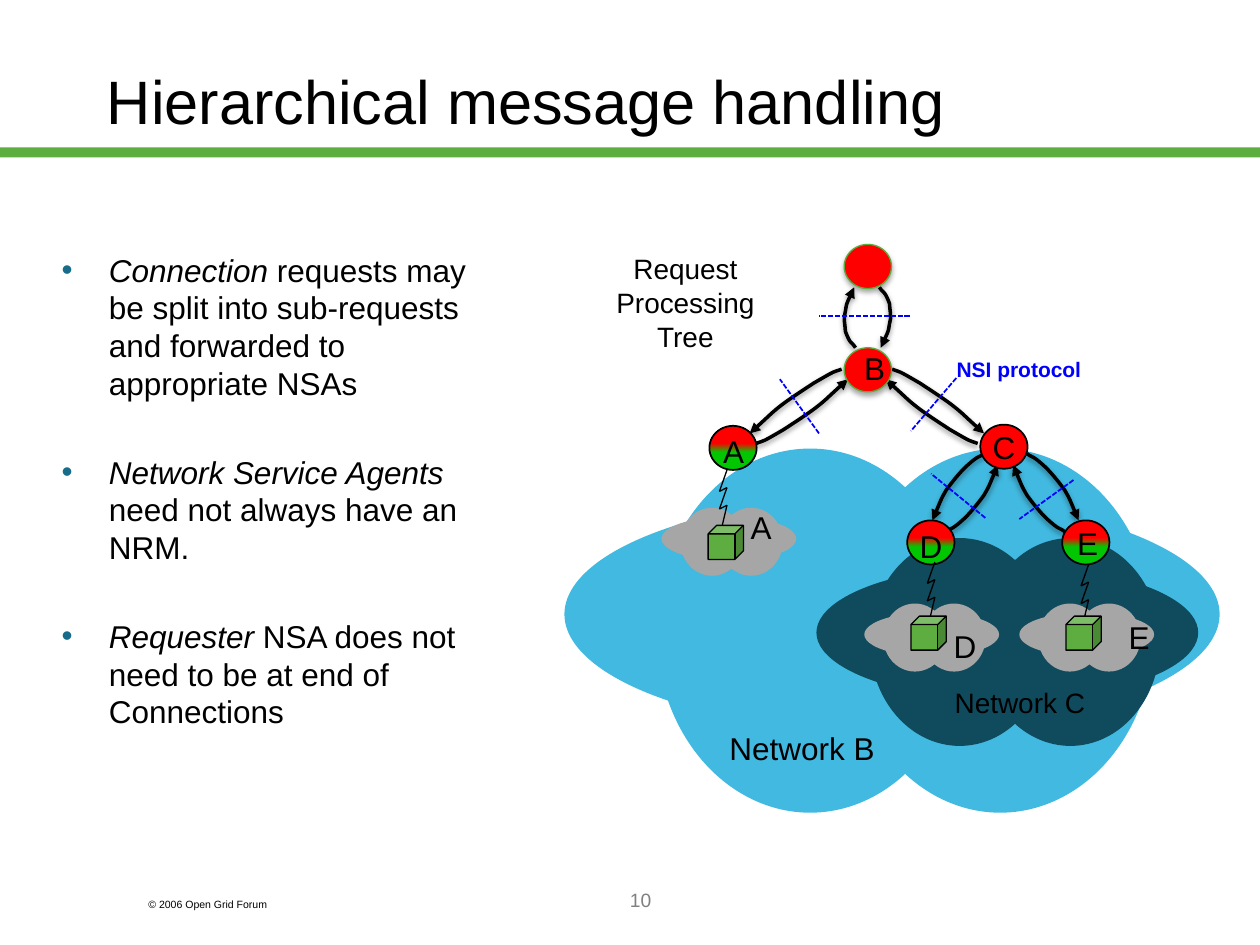
import pptx
import pptx.util
import pptx.dml.color
import pptx.enum.dml
import pptx.enum.shapes
import pptx.enum.text
import pptx.oxml
import pptx.oxml.ns
import lxml.etree

COLS, ROWS = 100, 75
CELL = pptx.util.Inches(0.1)
HUE = {
    "black": "000000", "gray": "808080", "green": "5DAD41", "rim": "5AAC3D",
    "lime": "03C603", "red": "FF0000", "blue": "0000FF", "sky": "42B9E0",
    "deep": "0F4A5D", "mist": "A6A6A6", "teal": "176D89",
}
FORM = pptx.enum.shapes.MSO_SHAPE
ALIGN = pptx.enum.text.PP_ALIGN
QN = pptx.oxml.ns.qn


def tint(name):
    return pptx.dml.color.RGBColor.from_string(HUE[name])


def spot(box, x, y):
    return round((box[0] + x) * CELL), round((box[1] + y) * CELL)


def child(node, tag, **attrs):
    return lxml.etree.SubElement(node, QN(tag), attrs)


def shade(shape, alpha, dist):
    glow = child(shape._element.spPr.find(QN("a:effectLst")), "a:outerShdw",
                 blurRad=str(pptx.util.Pt(3.1)), dist=str(pptx.util.Pt(dist)),
                 dir="5400000", rotWithShape="0")
    child(child(glow, "a:srgbClr", val=HUE["black"]), "a:alpha", val=str(alpha * 1000))


def stroke(line, hue, width):
    line.color.rgb = tint(hue)
    line.width = pptx.util.Pt(width)


def solid(slide, box, kind, x, y, w, h, fill, edge=None, width=0.75):
    shape = slide.shapes.add_shape(kind, *spot(box, x, y), *spot((0, 0), w, h))
    shape.shadow.inherit = False
    shape.fill.solid()
    shape.fill.fore_color.rgb = tint(fill)
    if edge:
        stroke(shape.line, edge, width)
    else:
        shape.line.fill.background()
    return shape


def style(para, size, hue, bold=None):
    for run in para.runs:
        run.font.name = "Arial"
        run.font.size = pptx.util.Pt(size)
        run.font.color.rgb = tint(hue)
        run.font.bold = bold


def frame(slide, box, x, y, w, h):
    area = slide.shapes.add_textbox(*spot(box, x, y), *spot((0, 0), w, h)).text_frame
    area.word_wrap = True
    return area


def label(slide, box, x, y, w, h, text, size=18, hue="black", align=ALIGN.RIGHT, bold=None):
    area = frame(slide, box, x, y, w, h)
    area.text = text
    for para in area.paragraphs:
        para.alignment = align
        style(para, size, hue, bold)
    return area


def rule(slide, box, start, end, hue, width):
    line = slide.shapes.add_connector(pptx.enum.shapes.MSO_CONNECTOR.STRAIGHT,
                                      *spot(box, *start), *spot(box, *end))
    stroke(line.line, hue, width)
    child(line._element.spPr, "a:effectLst")
    return line


def cloud(slide, box, x, y, w, h, hue):
    for left, top, wide, tall in ((0, 0.13, 1, 0.65), (0.14, 0, 0.47, 1), (0.43, 0, 0.47, 1)):
        solid(slide, box, FORM.OVAL, x + left * w, y + top * h, wide * w, tall * h, hue)


def arrow(slide, box, points):
    first, *rest = [spot(box, *point) for point in points]
    draft = slide.shapes.build_freeform(*first)
    draft.add_line_segments(rest, close=False)
    shape = draft.convert_to_shape()
    shape.shadow.inherit = False
    shape.fill.background()
    stroke(shape.line, "black", 2)
    child(shape.line._ln, "a:tailEnd", type="triangle")
    shade(shape, 38, 1.6)
    track = next(shape._element.iter(QN("a:path")))
    steps = track.findall(QN("a:lnTo"))
    for i in range(0, len(steps), 3):
        bend = child(track, "a:cubicBezTo")
        for step in steps[i:i + 3]:
            bend.append(step[0])
            track.remove(step)


def turn(points, sum_x, sum_y):
    return [(sum_x - x, sum_y - y) for x, y in points]


def flip(points, sum_x):
    return [(sum_x - x, y) for x, y in points]


def loops(slide, box):
    top = [(25.8, 3.8), (26.1, 4.3), (26.2, 4), (26.6, 5.1), (26.6, 5.5),
           (26.8, 6.2), (26.6, 6.7), (26.5, 7.3), (26.6, 7.1), (25.9, 8.6)]
    mid = [(26.8, 10.3), (27.6, 10.6), (27.1, 10.3), (29, 11.4), (29.6, 11.8),
           (30.7, 12.5), (31.5, 13.1), (32.4, 13.8), (32.1, 13.6), (34.1, 15.4)]
    low = [(37.5, 17), (38, 17.4), (37.8, 17), (39, 18.1), (39.4, 18.5),
           (40, 19.2), (40.5, 19.9), (40.9, 20.6), (40.8, 20.4), (41.6, 22.3)]
    for curve, sum_x, sum_y, fold in ((top, 49.7, 12.4, None), (mid, 60.4, 26.5, 49.6),
                                      (low, 78, 40.2, 71.6)):
        for path in (curve, turn(curve, sum_x, sum_y)):
            arrow(slide, box, path)
            if fold:
                arrow(slide, box, flip(path, fold))
    for x1, y1, x2, y2 in ((28.2, 6.1, 21, 6.1), (21, 15.4, 17.9, 11.1),
                           (34.2, 22.1, 29.9, 18.6), (41.2, 19.1, 36.9, 22.2),
                           (31.9, 11, 28.3, 15.2)):
        cut = rule(slide, box, (x1, y1), (x2, y2), "blue", 1)
        cut.line.dash_style = pptx.enum.dml.MSO_LINE.SQUARE_DOT


def agent(slide, box, x, y, kind):
    edge, width = ("rim", 0.75) if kind == "root" else ("black", 1)
    node = solid(slide, box, FORM.OVAL, x, y, 3.75, 3.5, "red", edge, width)
    if kind == "root":
        shade(node, 35, 1.8)
    if kind == "leaf":
        node.fill.gradient()
        node.fill.gradient_angle = 90
        for stop, place, hue in zip(node.fill.gradient_stops, (0.4, 0.6), ("lime", "red")):
            stop.position = place
            stop.color.rgb = tint(hue)


def zigzag(slide, box, x, y):
    bends = ((0, 0), (-0.6, 1.7), (0, 1.4), (-0.6, 3.1), (0, 2.8), (-0.4, 4.5))
    dots = [(x + dx, y + dy) for dx, dy in bends]
    for start, end in zip(dots, dots[1:]):
        rule(slide, box, start, end, "black", 0.75)


def tree(slide, box):
    cloud(slide, box, 0.8, 16.6, 52, 28.9, "sky")
    cloud(slide, box, 20.8, 23.7, 30.3, 16.5, "deep")
    for x, y in ((8.5, 21.3), (24.6, 28.9), (36.9, 28.9)):
        cloud(slide, box, x, y, 10.7, 5.4, "mist")
    loops(slide, box)
    for x, y, kind in ((23, 0.4, "root"), (23, 8.6, "root"), (33.8, 14.7, "hub"),
                       (12.3, 14.8, "leaf"), (28, 22.3, "leaf"), (40.3, 22.3, "leaf")):
        agent(slide, box, x, y, kind)
    for x, y in ((13.7, 18.3), (30.2, 25.6), (42.4, 25.8)):
        zigzag(slide, box, x, y)
    for x, y in ((12.2, 22.7), (28.3, 29.9), (40.6, 29.9)):
        solid(slide, box, FORM.CUBE, x, y, 2.8, 2.7, "green", "black")
    for x, y, text in ((12.4, 14.8, "A"), (40.5, 22.1, "E"), (33.8, 14.5, "C"),
                       (28, 22.3, "D"), (30.7, 30.3, "D"), (44.6, 29.6, "E"),
                       (23.6, 8.2, "B"), (14.6, 20.8, "A")):
        label(slide, box, x, y, 3.5, 4, text)
    label(slide, box, 30.4, 34.9, 12.7, 3.7, "Network C", 16)
    label(slide, box, 10, 38.4, 16.4, 4, "Network B")
    label(slide, box, 30.6, 8.8, 12.2, 3, "NSI protocol", 12, "blue", bold=True)
    note = label(slide, box, 0.5, 0.5, 19.8, 9.1, "Request Processing\nTree", 16,
                 align=ALIGN.CENTER)
    for para in note.paragraphs:
        para.line_spacing = pptx.util.Pt(19.2)


def points(slide, box):
    area = frame(slide, box, 0, 0, box[2], box[3])
    items = (("Connection", " requests may be split into sub-requests and forwarded "
              "to appropriate NSAs"),
             ("Network Service Agents", " need not always have an NRM."),
             ("Requester", " NSA does not need to be at end of Connections"))
    for i, (lead, rest) in enumerate(items):
        para = area.add_paragraph() if i else area.paragraphs[0]
        para.line_spacing = pptx.util.Pt(21.6)
        if i:
            para.space_before = pptx.util.Pt(29)
        props = para._p.get_or_add_pPr()
        indent = round(3.75 * CELL)
        props.set("marL", str(indent))
        props.set("indent", str(-indent))
        child(child(props, "a:buClr"), "a:srgbClr", val=HUE["teal"])
        child(props, "a:buFont", typeface="Arial")
        child(props, "a:buChar", char="•")
        for text, slant in ((lead, True), (rest, False)):
            run = para.add_run()
            run.text = text
            run.font.italic = slant
        style(para, 18, "black")


def head(slide, box):
    solid(slide, box, FORM.RECTANGLE, 0, 11.7, box[2], 0.8, "green")
    area = label(slide, box, 7.5, 1.7, 85, 12.5, "Hierarchical message handling", 35,
                 align=ALIGN.LEFT)
    area.vertical_anchor = pptx.enum.text.MSO_ANCHOR.MIDDLE


def foot(slide, box):
    label(slide, box, 10.8, 0.8, 15, 2, "© 2006 Open Grid Forum", 6, align=ALIGN.LEFT)
    label(slide, box, 21.7, 0, 58.3, 5, "10", 11, "gray", ALIGN.CENTER)


def main():
    deck = pptx.Presentation()
    deck.slide_width, deck.slide_height = COLS * CELL, ROWS * CELL
    slide = deck.slides.add_slide(deck.slide_layouts[6])
    head(slide, (0, 0, COLS, 15))
    points(slide, (3.9, 19.4, 35.2, 48))
    tree(slide, (44, 19, 53, 46))
    foot(slide, (0, 70, COLS, 5))
    deck.save("out.pptx")


if __name__ == "__main__":
    main()
